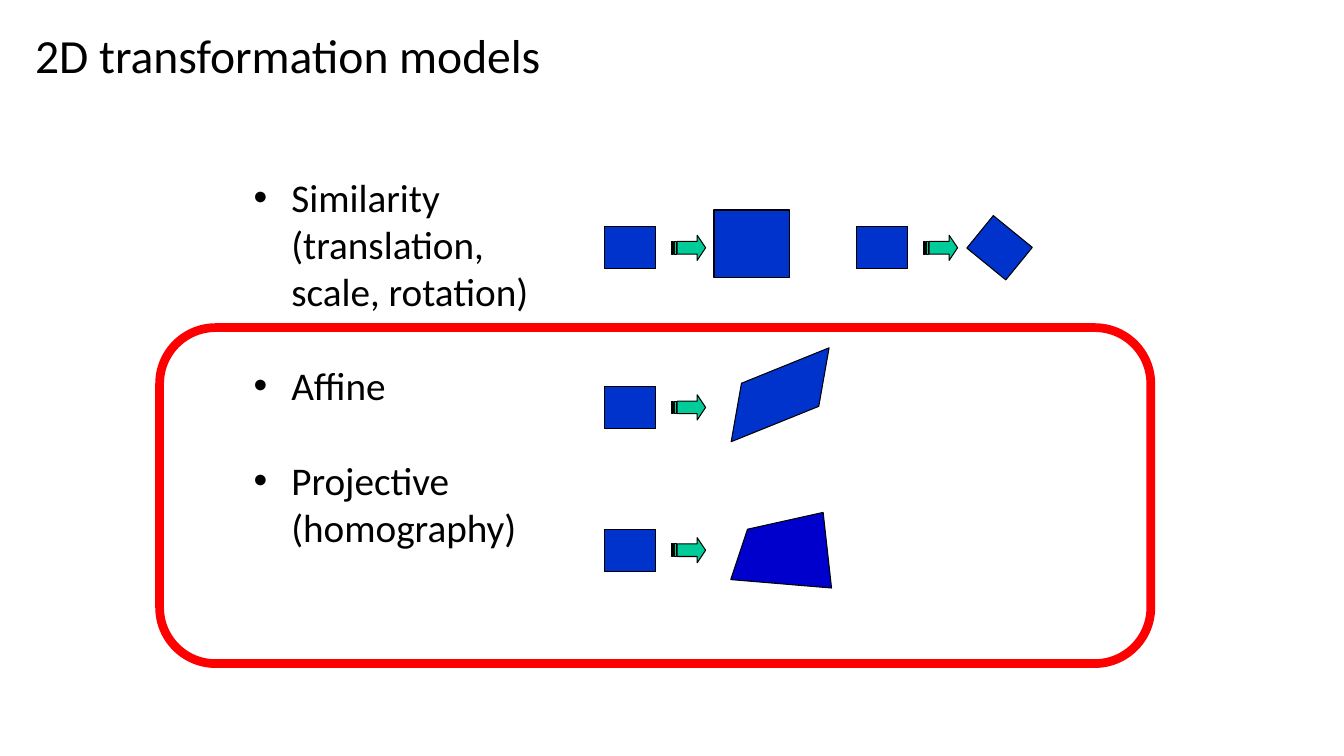
from typing import NamedTuple

from lxml.etree import SubElement
from pptx import Presentation
from pptx.dml.color import RGBColor
from pptx.enum.shapes import MSO_SHAPE
from pptx.enum.text import MSO_ANCHOR
from pptx.oxml.ns import qn
from pptx.util import Emu, Pt

PX = 9525  # EMU in one px, 96 px to the inch
FONT = "Calibri"
COLORS = {
    "text": "000000",
    "outline": "000000",
    "blue": "0033CC",
    "deep_blue": "0000CC",
    "green": "00CC99",
    "red": "FF0000",
}


class Box(NamedTuple):
    x: int
    y: int
    w: int
    h: int


class Block(NamedTuple):
    box: Box
    kind: MSO_SHAPE = MSO_SHAPE.RECTANGLE
    rotation: float = 0
    adjust: float | None = None


# Each starting square is 48 x 40 and has its arrow to the right
SQUARE_W, SQUARE_H = 48, 40
STARTS = [(576, 216), (816, 216), (576, 368), (576, 504)]
ARROW_DX = 64
ARROW_YS = [224, 224, 376, 512]

RESULTS = [
    Block(Box(680, 200, 72, 64)),
    Block(Box(928, 216, SQUARE_W, SQUARE_H), rotation=39.2),
    Block(Box(683, 352, 120, 48), MSO_SHAPE.PARALLELOGRAM, 338, 0.625),
]
PROJECTED = [(696, 552), (712, 504), (784, 488), (792, 560)]

# Outlines of the striped arrow, from its top left corner
ARROW = [
    [(24, 0), (24, 6), (5, 6), (5, 18), (24, 18), (24, 24), (32, 12)],
    [(2, 6), (2, 18), (4, 18), (4, 6)],
    [(0, 6), (0, 18), (1, 18), (1, 6)],
]

MODELS = [
    "Similarity\v(translation,\vscale, rotation)",
    "Affine",
    "Projective\v(homography)",
]


def style(s, fill: str | None, line: str = "outline", width: float = 0.75) -> None:
    s.shadow.inherit = False
    if fill:
        s.fill.solid()
        s.fill.fore_color.rgb = RGBColor.from_string(COLORS[fill])
    else:
        s.fill.background()
    s.line.color.rgb = RGBColor.from_string(COLORS[line])
    s.line.width = Pt(width)


def add_block(slide, block: Block):
    s = slide.shapes.add_shape(block.kind, *(Emu(v * PX) for v in block.box))
    s.rotation = block.rotation
    if block.adjust is not None:
        s.adjustments[0] = block.adjust
    return s


def add_outline(slide, contours: list, fill: str, x: int = 0, y: int = 0) -> None:
    first_x, first_y = contours[0][0]
    builder = slide.shapes.build_freeform(first_x, first_y, scale=PX)
    for i, points in enumerate(contours):
        if i:
            builder.move_to(*points[0])
        builder.add_line_segments(points[1:], close=True)
    style(builder.convert_to_shape(x * PX, y * PX), fill)


def add_text(slide, box: Box, lines: list[str], *, size: float, bullet: str = "",
             gap: float = 0, anchor=MSO_ANCHOR.TOP) -> None:
    tf = slide.shapes.add_textbox(*(Emu(v * PX) for v in box)).text_frame
    tf.word_wrap = True
    tf.vertical_anchor = anchor
    for i, line in enumerate(lines):
        p = tf.add_paragraph() if i else tf.paragraphs[0]
        p.text = line
        if i:
            p.space_before = Pt(gap)
        if bullet:
            pPr = p._p.get_or_add_pPr()
            pPr.set("marL", str(36 * PX))
            pPr.set("indent", str(-36 * PX))
            SubElement(pPr, qn("a:buFont"), typeface="Arial")
            SubElement(pPr, qn("a:buChar"), char=bullet)
        for r in p.runs:
            r.font.name = FONT
            r.font.size = Pt(size)
            r.font.color.rgb = RGBColor.from_string(COLORS["text"])


def main() -> None:
    prs = Presentation()
    prs.slide_width, prs.slide_height = Emu(1280 * PX), Emu(720 * PX)
    slide = prs.slides.add_slide(prs.slide_layouts[6])

    # Title and list of models
    add_text(slide, Box(24, 8, 1232, 88), ["2D transformation models"],
             size=34, anchor=MSO_ANCHOR.MIDDLE)
    add_text(slide, Box(232, 160, 840, 552), MODELS, size=28, bullet="•", gap=34)

    # Starting squares with their arrows
    for (x, y), arrow_y in zip(STARTS, ARROW_YS):
        style(add_block(slide, Block(Box(x, y, SQUARE_W, SQUARE_H))), "blue")
        add_outline(slide, ARROW, "green", x + ARROW_DX, arrow_y)

    # Transformed shapes
    for block in RESULTS:
        style(add_block(slide, block), "blue")
    add_outline(slide, [PROJECTED], "deep_blue")

    # Frame around the affine and projective models
    frame = add_block(slide, Block(Box(152, 312, 944, 320), MSO_SHAPE.ROUNDED_RECTANGLE))
    style(frame, None, "red", 6.25)

    prs.save("out.pptx")


if __name__ == "__main__":
    main()
